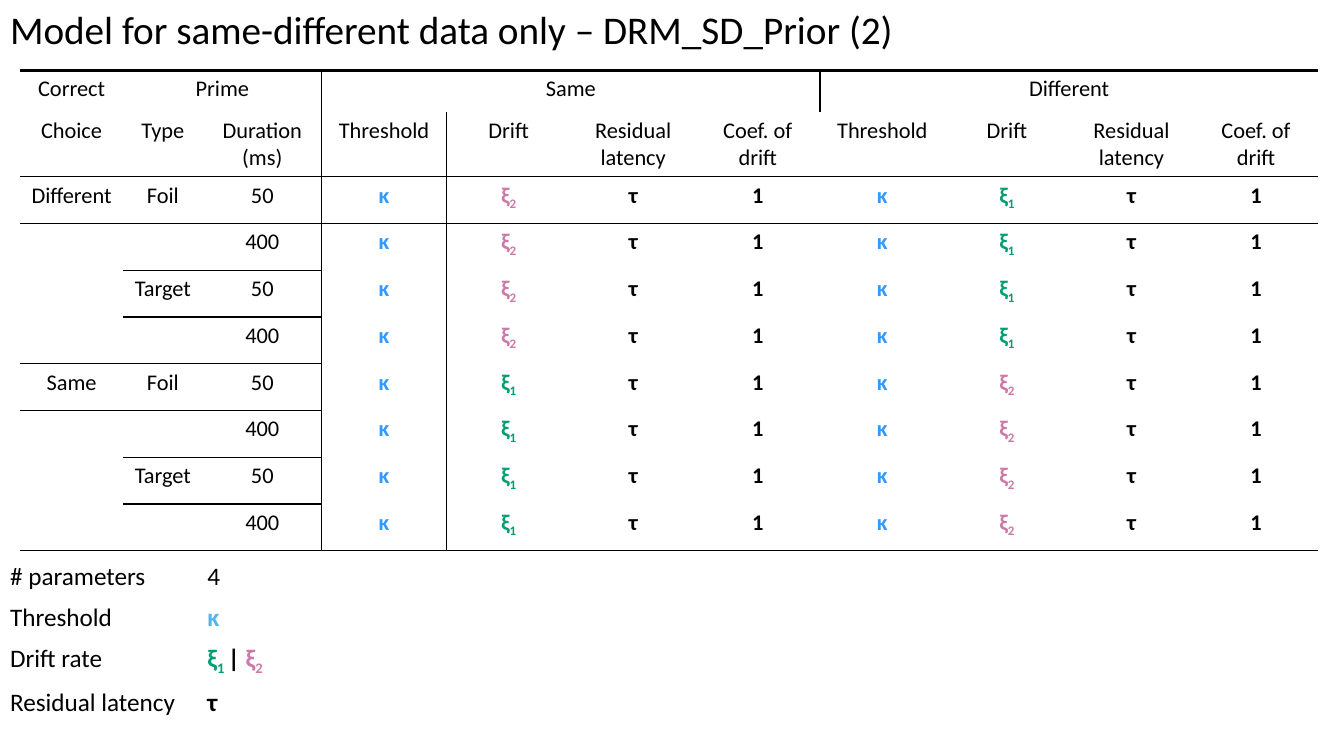
from dataclasses import dataclass

from lxml.etree import SubElement
from pptx import Presentation
from pptx.dml.color import RGBColor as Rgb
from pptx.enum.text import MSO_ANCHOR as Anchor, PP_ALIGN as Align
from pptx.oxml.ns import qn
from pptx.util import Pt


@dataclass(frozen=True)
class Theme:
    font: str = "Calibri"
    black: str = "000000"
    white: str = "FFFFFF"
    blue: str = "3399FF"
    sky: str = "56B4E9"
    green: str = "009E73"
    pink: str = "CC79A7"
    title_size: int = 28
    list_size: int = 18
    grid_size: int = 16
    thick: float = 2.25
    thin: float = 1
    plain_table: str = "{2D5ABB26-0587-4C30-8999-92F81FD0307C}"


THEME = Theme()


@dataclass(frozen=True)
class Symbol:
    text: str
    color: str = THEME.black
    lowered: bool = False


def xi(index, color):
    return [Symbol("ξ", color), Symbol(index, color, True)]


XI_1 = xi("1", THEME.green)
XI_2 = xi("2", THEME.pink)
KAPPA = [Symbol("κ", THEME.blue)]
TAU = [Symbol("τ")]
ONE = [Symbol("1")]

MEASURES = ["Threshold", "Drift", "Residual latency", "Coef. of\ndrift"]
LABEL_COLUMNS = 3
LAST_ROW = 9


def condition_rows():
    for choice, drifts in (("Different", (XI_2, XI_1)), ("Same", (XI_1, XI_2))):
        values = [value for drift in drifts for value in (KAPPA, drift, TAU, ONE)]
        for prime in ("Foil", "Target"):
            for duration in ("50", "400"):
                first = duration == "50"
                yield [
                    choice if first and prime == "Foil" else "",
                    prime if first else "",
                    duration,
                    *values,
                ]


def ruled_below(row, column):
    if row < 1:
        return False
    if column >= LABEL_COLUMNS:
        return row in (1, LAST_ROW)
    first_ruled = 0 if row % 4 == 1 else 1 if row % 2 else 2
    return column >= first_ruled


def model_borders(row, column):
    borders = {}
    if column == LABEL_COLUMNS:
        borders["L"] = THEME.thin
    if column == LABEL_COLUMNS - 1 or (row, column) == (0, 1):
        borders["R"] = THEME.thin
    if row == 0:
        borders["T"] = THEME.thick
    elif ruled_below(row - 1, column):
        borders["T"] = THEME.thin
    if ruled_below(row, column):
        borders["B"] = THEME.thin
    return borders


class SlideBuilder:
    def __init__(self, deck, theme):
        self.theme = theme
        self.slide = deck.slides.add_slide(deck.slide_layouts[5])

    def title(self, text, left, top, width, height):
        box = self.slide.shapes.title
        box.left, box.top, box.width, box.height = map(Pt, (left, top, width, height))
        frame = box.text_frame
        frame.word_wrap = False
        frame.vertical_anchor = Anchor.TOP
        self.fill_text(frame, text, self.theme.title_size, Align.LEFT)

    def fill_text(self, frame, content, size, align):
        is_label = isinstance(content, str)
        lines = [[Symbol(line)] for line in content.split("\n")] if is_label else [content]
        for number, symbols in enumerate(lines):
            para = frame.add_paragraph() if number else frame.paragraphs[0]
            para.alignment = align
            para.font.name = self.theme.font
            para.font.size = Pt(size)
            para.font.bold = not is_label
            for symbol in symbols:
                if symbol.text:
                    self.span(para, symbol)

    def span(self, para, symbol):
        span = para.add_run()
        span.text = symbol.text
        span.font.color.rgb = Rgb.from_string(symbol.color)
        if symbol.lowered:
            span._r.get_or_add_rPr().set("baseline", "-25000")

    def border(self, cell, side, width):
        line = SubElement(cell._tc.get_or_add_tcPr(), qn(f"a:ln{side}"), w=str(int(Pt(width))))
        fill = SubElement(line, qn("a:solidFill"))
        SubElement(fill, qn("a:srgbClr"), val=self.theme.black)

    def table(self, rows, left, top, widths, heights, size, align, borders=None, fill=None):
        frame = self.slide.shapes.add_table(
            len(rows), len(widths), Pt(left), Pt(top), Pt(sum(widths)), Pt(sum(heights))
        )
        table = frame.table
        table.first_row = table.horz_banding = False
        table._tbl.tblPr.find(qn("a:tableStyleId")).text = self.theme.plain_table
        for column, width in zip(table.columns, widths):
            column.width = Pt(width)
        for row, height in zip(table.rows, heights):
            row.height = Pt(height)
        for row, contents in enumerate(rows):
            for column, content in enumerate(contents):
                cell = table.cell(row, column)
                self.fill_text(cell.text_frame, content, size, align)
                if borders:
                    for side, width in borders(row, column).items():
                        self.border(cell, side, width)
                if fill:
                    cell.fill.solid()
                    cell.fill.fore_color.rgb = Rgb.from_string(fill)
                else:
                    cell.fill.background()
        return table


def main():
    deck = Presentation()
    deck.slide_width, deck.slide_height = Pt(960), Pt(540)
    page = SlideBuilder(deck, THEME)
    page.title("Model for same-different data only – DRM_SD_Prior (2)", 0, 0, 652, 41)

    model_rows = [
        ["Correct", "Prime", "", "Same", "", "", "", "Different", "", "", ""],
        ["Choice", "Type", "Duration (ms)", *MEASURES, *MEASURES],
        *condition_rows(),
    ]
    model = page.table(
        model_rows, 14.4, 50.4,
        widths=[73.5, 57, 85] + [89] * 8,
        heights=[29.5, 45.7] + [33.4] * 8,
        size=THEME.grid_size, align=Align.CENTER, borders=model_borders,
    )
    for first, last in ((1, 2), (3, 6), (7, 10)):
        model.cell(0, first).merge(model.cell(0, last))

    parameter_rows = [
        ["# parameters", "4"],
        ["Threshold", [Symbol("κ", THEME.sky)]],
        ["Drift rate", [*xi("1 ", THEME.green), Symbol("| "), *XI_2]],
        ["Residual latency", TAU],
        ["", ""],
    ]
    page.table(
        parameter_rows, 0, 397.4,
        widths=[141, 811], heights=[28.8] * 5,
        size=THEME.list_size, align=Align.LEFT, fill=THEME.white,
    )
    deck.save("out.pptx")


if __name__ == "__main__":
    main()
